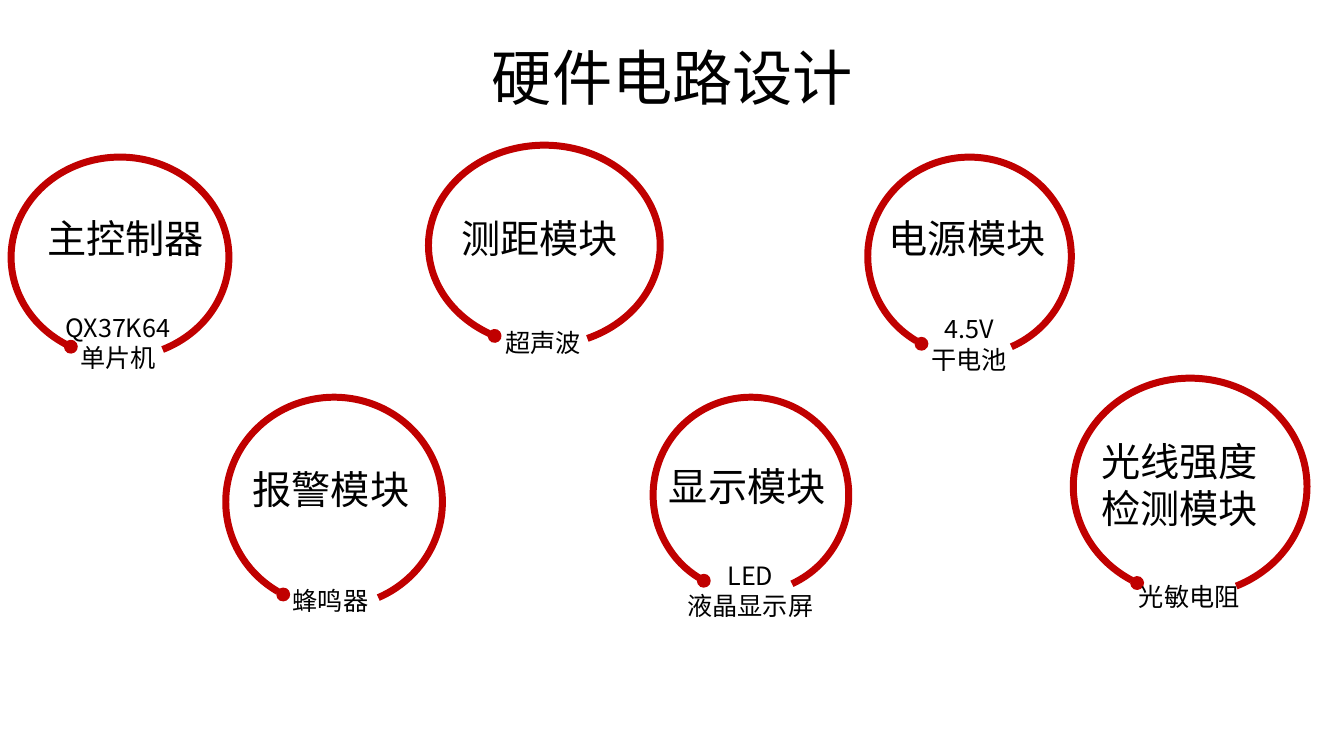
"""Build the hardware circuit design slide with six labelled module rings."""
from dataclasses import dataclass

from lxml.etree import SubElement
from pptx import Presentation
from pptx.dml.color import RGBColor
from pptx.enum.shapes import MSO_SHAPE as Shape
from pptx.enum.text import MSO_ANCHOR as Anchor, MSO_AUTO_SIZE as AutoSize, PP_ALIGN as Align
from pptx.oxml.ns import qn
from pptx.slide import Slide
from pptx.text.text import TextFrame
from pptx.util import Cm, Pt

COLORS = {"ring": "C00000", "text": "000000"}
CJK_FONT = "Noto Sans CJK SC"
TITLE_FONT = "Arial"
ARC_ANGLES = (176.886, 144.719)
NAME_WIDTH, NAME_LINE_HEIGHT = 5.0, 1.32
CAPTION_WIDTH, CAPTION_HEIGHT = 4.2, 1.1


@dataclass(frozen=True)
class Box:
    left: float
    top: float
    width: float
    height: float

    def lengths(self) -> tuple[Cm, Cm, Cm, Cm]:
        return Cm(self.left), Cm(self.top), Cm(self.width), Cm(self.height)


@dataclass(frozen=True)
class Module:
    ring: Box
    name: tuple[str, ...]
    name_corner: tuple[float, float]
    caption: tuple[str, ...]
    caption_center: tuple[float, float]


MODULES = (
    Module(Box(0.28, 3.96, 5.49, 5.05), ("主控制器",), (0.94, 5.28),
           ("QX37K64", "单片机"), (2.97, 8.62)),
    Module(Box(10.8, 3.66, 5.84, 5.05), ("测距模块",), (11.38, 5.28),
           ("超声波",), (13.69, 8.62)),
    Module(Box(21.87, 3.96, 5.13, 5.0), ("电源模块",), (22.15, 5.28),
           ("4.5V", "干电池"), (24.42, 8.67)),
    Module(Box(5.69, 10.01, 5.46, 5.28), ("报警模块",), (6.12, 11.61),
           ("蜂鸣器",), (8.33, 15.13)),
    Module(Box(16.46, 10.01, 4.93, 4.93), ("显示模块",), (16.61, 11.53),
           ("LED", "液晶显示屏"), (18.91, 14.87)),
    Module(Box(27.05, 9.53, 5.89, 5.46), ("光线强度", "检测模块"), (27.51, 10.9),
           ("光敏电阻",), (29.97, 15.02)),
)


def add_text(page: Slide, box: Box, lines: tuple[str, ...], size: float,
             align: Align = Align.CENTER, font: str = CJK_FONT) -> TextFrame:
    frame = page.shapes.add_textbox(*box.lengths()).text_frame
    frame.word_wrap = True
    frame.vertical_anchor = Anchor.MIDDLE
    for index, line in enumerate(lines):
        para = frame.add_paragraph() if index else frame.paragraphs[0]
        para.alignment = align
        span = para.add_run()
        span.text = line
        span.font.size = Pt(size)
        span.font.name = font
        span.font.color.rgb = RGBColor.from_string(COLORS["text"])
        SubElement(span.font._element, qn("a:ea"), typeface=CJK_FONT)
    return frame


def add_ring(page: Slide, box: Box) -> None:
    ring = page.shapes.add_shape(Shape.ARC, *box.lengths())
    ring.shadow.inherit = False
    ring.fill.background()
    for index, angle in enumerate(ARC_ANGLES):
        ring.adjustments[index] = angle
    ring.line.color.rgb = RGBColor.from_string(COLORS["ring"])
    ring.line.width = Pt(5)
    properties = ring.element.spPr
    properties.find(qn("a:xfrm")).set("flipV", "1")
    SubElement(properties.find(qn("a:ln")), qn("a:tailEnd"), type="oval", w="sm", len="sm")


def add_module(page: Slide, module: Module) -> None:
    add_ring(page, module.ring)
    center_x, center_y = module.caption_center
    caption_box = Box(center_x - CAPTION_WIDTH / 2, center_y - CAPTION_HEIGHT / 2,
                      CAPTION_WIDTH, CAPTION_HEIGHT)
    caption = add_text(page, caption_box, module.caption, 18)
    caption.word_wrap = False
    name_box = Box(*module.name_corner, NAME_WIDTH, NAME_LINE_HEIGHT * len(module.name))
    name = add_text(page, name_box, module.name, 28, Align.LEFT)
    name.vertical_anchor = Anchor.TOP
    name.auto_size = AutoSize.SHAPE_TO_FIT_TEXT


def main() -> None:
    deck = Presentation()
    deck.slide_width, deck.slide_height = Cm(33.87), Cm(19.05)
    page = deck.slides.add_slide(deck.slide_layouts[6])
    title = add_text(page, Box(2.34, 1.02, 29.21, 2.03), ("硬件电路设计",), 43, font=TITLE_FONT)
    title.paragraphs[0].line_spacing = 0.9
    for module in MODULES:
        add_module(page, module)
    deck.save("out.pptx")


if __name__ == "__main__":
    main()
